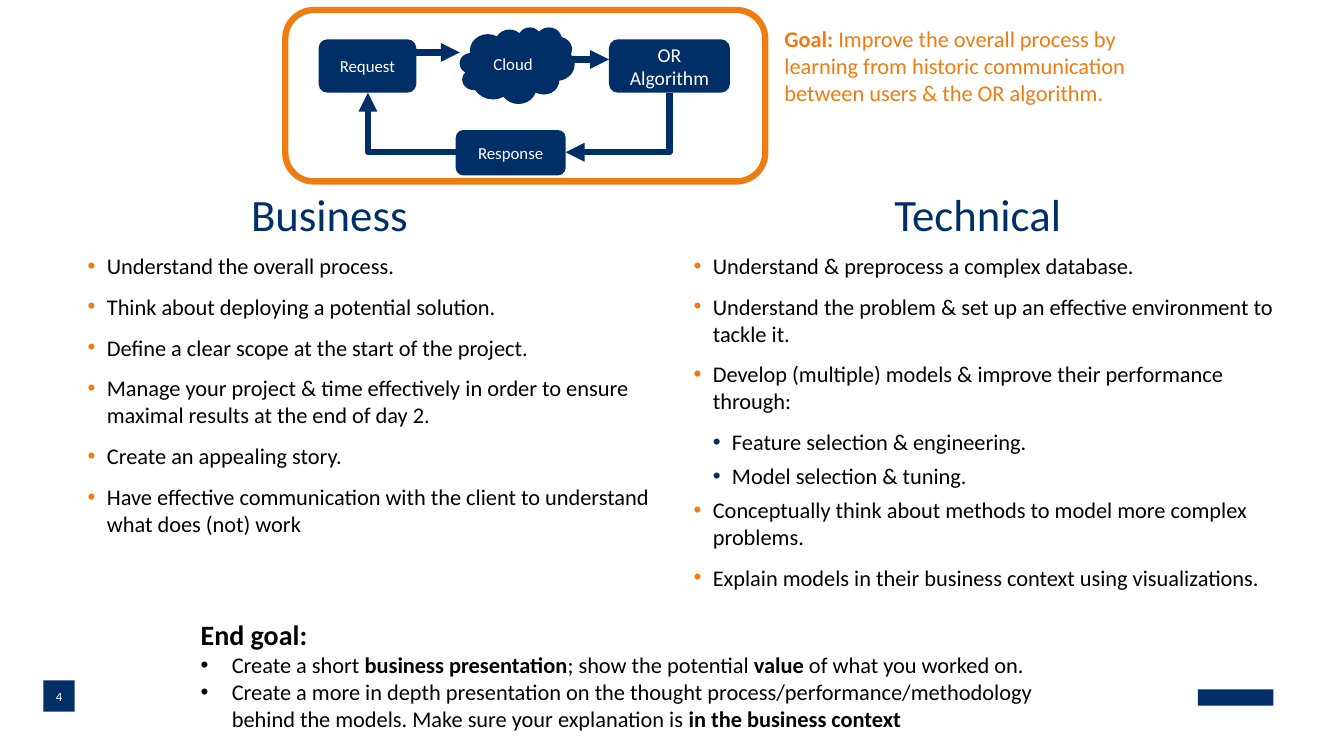
from lxml import etree
from pptx import Presentation
from pptx.dml.color import RGBColor
from pptx.enum.shapes import MSO_CONNECTOR, MSO_SHAPE
from pptx.enum.text import MSO_ANCHOR, PP_ALIGN
from pptx.oxml.ns import qn
from pptx.util import Inches, Pt

CENTER, MIDDLE, TOP = PP_ALIGN.CENTER, MSO_ANCHOR.MIDDLE, MSO_ANCHOR.TOP
RECTANGLE, ROUNDED, CLOUD = MSO_SHAPE.RECTANGLE, MSO_SHAPE.ROUNDED_RECTANGLE, MSO_SHAPE.CLOUD
STRAIGHT, ELBOW = MSO_CONNECTOR.STRAIGHT, MSO_CONNECTOR.ELBOW

FONT = "Calibri"
NAVY, ORANGE, BLACK, WHITE = "002E67", "EE7D11", "000000", "FFFFFF"
THICK = 4.5
INDENT = 0.19

# Each column: title, title left, list left, list width, (level, text) items
COLUMNS = [
    ("Business", 2.49, 0.87, 5.58, [
        (0, "Understand the overall process."),
        (0, "Think about deploying a potential solution."),
        (0, "Define a clear scope at the start of the project."),
        (0, "Manage your project & time effectively in order to ensure maximal results "
            "at the end of day 2."),
        (0, "Create an appealing story."),
        (0, "Have effective communication with the client to understand what does (not) work"),
    ]),
    ("Technical", 8.87, 6.88, 5.75, [
        (0, "Understand & preprocess a complex database."),
        (0, "Understand the problem & set up an effective environment to tackle it."),
        (0, "Develop (multiple) models & improve their performance through:"),
        (1, "Feature selection & engineering."),
        (1, "Model selection & tuning."),
        (0, "Conceptually think about methods to model more complex problems."),
        (0, "Explain models in their business context using visualizations."),
    ]),
]
# Process steps: text, shape, (left, top, width, height), text size
STEPS = [
    ("Request", ROUNDED, (3.16, 0.39, 0.97, 0.53), 12),
    ("OR Algorithm", ROUNDED, (6.04, 0.39, 1.2, 0.53), 14),
    ("Cloud", CLOUD, (4.56, 0.27, 1.14, 0.76), 12),
    ("Response", ROUNDED, (4.52, 1.29, 1.09, 0.45), 12),
]
# Arrows: kind, begin, end, rotation in degrees
ARROWS = [
    (STRAIGHT, (4.13, 0.52), (4.56, 0.52), 0),
    (STRAIGHT, (5.61, 0.59), (6.04, 0.59), 0),
    (ELBOW, (5.83, 0.7), (6.42, 1.73), 90),
    (ELBOW, (4.52, 1.51), (3.65, 0.92), 0),
]
# Runs: (text, bold)
GOAL = [("Goal:", True),
        (" Improve the overall process by learning from historic communication "
         "between users & the OR algorithm.", False)]
END_GOALS = [
    [("Create a short", False), (" business presentation", True),
     ("; show the potential ", False), ("value", True),
     (" of what you worked on.", False)],
    [("Create a more in depth presentation on the thought process/performance/methodology "
      "behind the models. Make sure your explanation is ", False),
     ("in the business context", True)],
]


def color(value):
    return RGBColor.from_string(value)


def inches(values):
    return [Inches(value) for value in values]


def style(paragraph, size, text_color, bold=None):
    font = paragraph.font
    font.name, font.size, font.bold = FONT, Pt(size), bold
    font.color.rgb = color(text_color)


def add_runs(paragraph, runs):
    for text, bold in runs:
        run = paragraph.add_run()
        run.text, run.font.bold = text, bold


def add_bullet(paragraph, left, hanging, bullet_color):
    properties = paragraph._p.get_or_add_pPr()
    properties.set("marL", str(Inches(left)))
    properties.set("indent", str(-Inches(hanging)))
    holder = etree.SubElement(properties, qn("a:buClr"))
    etree.SubElement(holder, qn("a:srgbClr"), val=bullet_color)
    etree.SubElement(properties, qn("a:buFont"), typeface="Arial")
    etree.SubElement(properties, qn("a:buChar"), char="•")


def set_frame(shape, inset, anchor):
    frame = shape.text_frame
    frame.word_wrap, frame.vertical_anchor = True, anchor
    frame.margin_left = frame.margin_right = Inches(inset)
    frame.margin_top = frame.margin_bottom = Inches(inset)
    return frame


def add_text_box(slide, box, anchor=TOP):
    return set_frame(slide.shapes.add_textbox(*inches(box)), 0, anchor)


def add_plain_shape(slide, kind, box, fill=None, line=None):
    shape = slide.shapes.add_shape(kind, *inches(box))
    shape.shadow.inherit = False
    if fill:
        shape.fill.solid()
        shape.fill.fore_color.rgb = color(fill)
    else:
        shape.fill.background()
    if line:
        shape.line.color.rgb, shape.line.width = color(line), Pt(THICK)
    else:
        shape.line.fill.background()
    return shape


def add_label(slide, text, kind, box, size, inset):
    frame = set_frame(add_plain_shape(slide, kind, box, NAVY), inset, MIDDLE)
    paragraph = frame.paragraphs[0]
    paragraph.text, paragraph.alignment = text, CENTER
    style(paragraph, size, WHITE)


def add_arrow(slide, kind, begin, end, rotation):
    """Draw an arrow; an elbow has a single corner and may be rotated."""
    connector = slide.shapes.add_connector(kind, *inches(begin + end))
    connector.line.color.rgb, connector.line.width = color(NAVY), Pt(THICK)
    properties = connector._element.spPr
    if kind == ELBOW:
        properties.find(qn("a:prstGeom")).set("prst", "bentConnector2")
        properties.find(qn("a:xfrm")).set("rot", str(rotation * 60000))
    etree.SubElement(connector.line._get_or_add_ln(), qn("a:tailEnd"), type="triangle")
    etree.SubElement(properties, qn("a:effectLst"))


def add_column(slide, title, title_left, left, width, items):
    heading = add_text_box(slide, (title_left, 1.92, 2.12, 0.46), MIDDLE).paragraphs[0]
    heading.text, heading.line_spacing = title, 0.9
    style(heading, 32, NAVY)
    frame = add_text_box(slide, (left, 2.5, width, 3.79))
    for index, (level, text) in enumerate(items):
        paragraph = frame.add_paragraph() if index else frame.paragraphs[0]
        paragraph.text, paragraph.level = text, level
        add_bullet(paragraph, INDENT * (level + 1), INDENT, NAVY if level else ORANGE)
        paragraph.space_before = Pt(5 if index else 0)
        paragraph.space_after = Pt(0 if level else 5)
        style(paragraph, 16, BLACK)


def add_end_goals(slide):
    frame = add_text_box(slide, (1.99, 6.13, 8.6, 1.13))
    frame.paragraphs[0].text = "End goal:"
    style(frame.paragraphs[0], 20, BLACK, True)
    for runs in END_GOALS:
        paragraph = frame.add_paragraph()
        add_bullet(paragraph, 0.31, 0.31, BLACK)
        add_runs(paragraph, runs)
        style(paragraph, 16, BLACK)


def main():
    presentation = Presentation()
    presentation.slide_width, presentation.slide_height = inches((13.33, 7.5))
    slide = presentation.slides.add_slide(presentation.slide_layouts[6])

    add_plain_shape(slide, RECTANGLE, (11.88, 6.84, 0.75, 0.16), NAVY)
    add_label(slide, "4", RECTANGLE, (0.43, 6.75, 0.31, 0.31), 9, 0)
    for column in COLUMNS:
        add_column(slide, *column)

    add_plain_shape(slide, ROUNDED, (2.83, 0.1, 4.76, 1.7), line=ORANGE)
    for step in STEPS:
        add_label(slide, *step, inset=0.16)
    for arrow in ARROWS:
        add_arrow(slide, *arrow)

    goal = add_text_box(slide, (7.78, 0.25, 3.74, 0.96)).paragraphs[0]
    add_runs(goal, GOAL)
    style(goal, 16, ORANGE)
    add_end_goals(slide)
    presentation.save("out.pptx")


if __name__ == "__main__":
    main()
